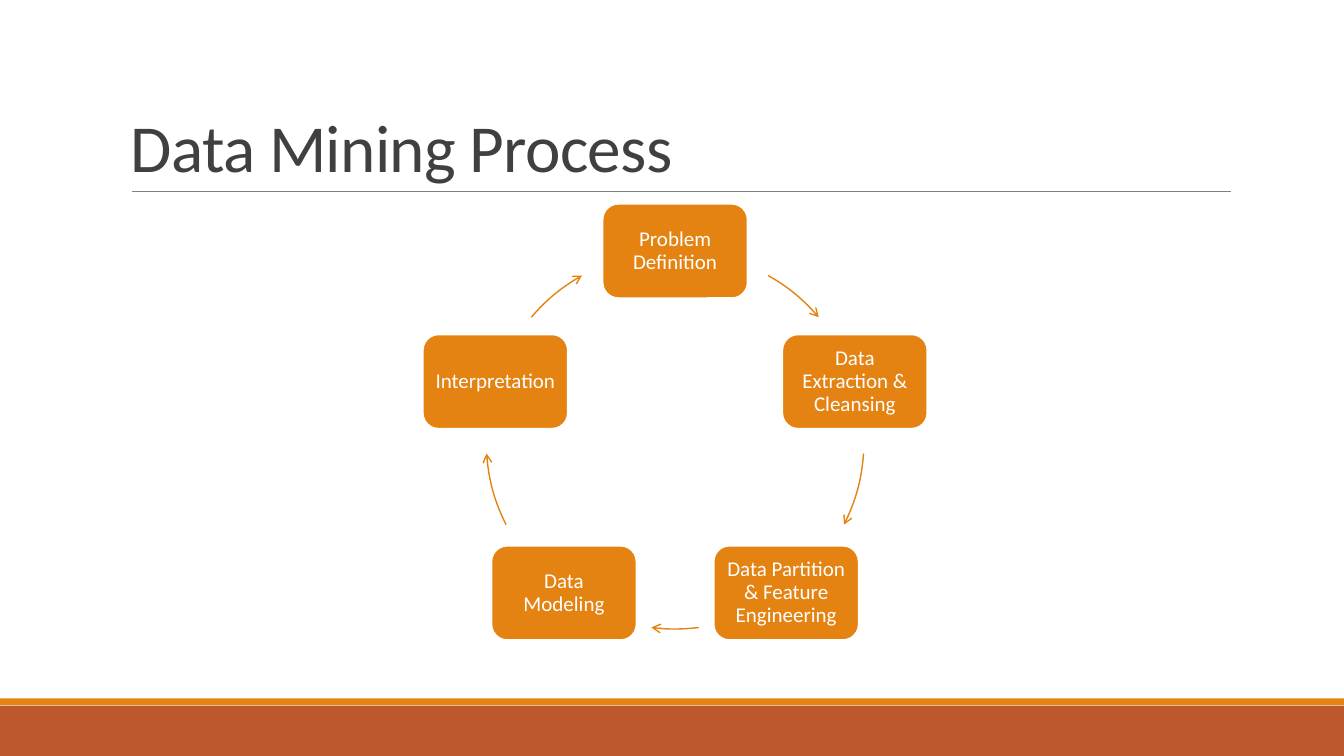
import math

from lxml import etree
from pptx import Presentation
from pptx.dml.color import RGBColor
from pptx.enum.shapes import MSO_CONNECTOR, MSO_SHAPE
from pptx.enum.text import MSO_ANCHOR, PP_ALIGN
from pptx.oxml.ns import qn
from pptx.util import Pt

RECTANGLE = MSO_SHAPE.RECTANGLE
ROUNDED = MSO_SHAPE.ROUNDED_RECTANGLE
ARC = MSO_SHAPE.ARC
STRAIGHT = MSO_CONNECTOR.STRAIGHT
LEFT, CENTER = PP_ALIGN.LEFT, PP_ALIGN.CENTER
MIDDLE, BOTTOM = MSO_ANCHOR.MIDDLE, MSO_ANCHOR.BOTTOM

PAGE_WIDTH, PAGE_HEIGHT = 960, 540
ORANGE, RUST, WHITE = "E48312", "BD582C", "FFFFFF"
RULE_GRAY, TITLE_GRAY = "808080", "404040"
FONT = "Calibri"

CENTER_X, CENTER_Y, RADIUS = 482.2, 314.3, 135
BOX_WIDTH, BOX_HEIGHT = 103.6, 67.4
STEPS = [
    "Problem Definition",
    "Data Extraction & Cleansing",
    "Data Partition & Feature Engineering",
    "Data Modeling",
    "Interpretation",
]
# Start and end of each arrow, in degrees clockwise from the top
ARROWS = [(29.5, 49.5), (94.1, 116.6), (172.8, 187.2), (243.4, 265.9), (310.5, 330.5)]


def color(value):
    return RGBColor.from_string(value)


def add_block(page, kind, left, top, width, height, fill):
    box = page.shapes.add_shape(kind, Pt(left), Pt(top), Pt(width), Pt(height))
    box.shadow.inherit = False
    box.fill.solid()
    box.fill.fore_color.rgb = color(fill)
    box.line.fill.background()
    return box


def write_text(box, text, size, text_color, align, anchor, spacing):
    frame = box.text_frame
    frame.word_wrap = True
    frame.vertical_anchor = anchor
    para = frame.paragraphs[0]
    para.alignment = align
    para.line_spacing = spacing
    span = para.add_run()
    span.text = text
    span.font.name = FONT
    span.font.size = Pt(size)
    span.font.color.rgb = color(text_color)
    return span


def add_title(page, text):
    box = page.shapes.add_textbox(Pt(86.4), Pt(22.6), Pt(792), Pt(114.2))
    span = write_text(box, text, 48, TITLE_GRAY, LEFT, BOTTOM, 0.85)
    span.font._element.set("spc", "-50")


def add_rule(page, left, right, y):
    rule = page.shapes.add_connector(STRAIGHT, Pt(left), Pt(y), Pt(right), Pt(y))
    rule.line.color.rgb = color(RULE_GRAY)
    rule.line.width = Pt(0.5)
    etree.SubElement(rule._element.spPr, qn("a:effectLst"))


def add_step(page, text, angle):
    """Place a step box on the circle, at an angle clockwise from the top."""
    turn = math.radians(angle)
    left = CENTER_X + RADIUS * math.sin(turn) - BOX_WIDTH / 2
    top = CENTER_Y - RADIUS * math.cos(turn) - BOX_HEIGHT / 2
    box = add_block(page, ROUNDED, left, top, BOX_WIDTH, BOX_HEIGHT, ORANGE)
    box.line.color.rgb = color(WHITE)
    box.line.width = Pt(1.25)
    frame = box.text_frame
    frame.margin_left = frame.margin_right = Pt(4.5)
    frame.margin_top = frame.margin_bottom = Pt(4.5)
    write_text(box, text, 15, WHITE, CENTER, MIDDLE, 0.9)


def add_arc_arrow(page, start, end):
    arrow = page.shapes.add_shape(
        ARC, Pt(CENTER_X - RADIUS), Pt(CENTER_Y - RADIUS), Pt(2 * RADIUS), Pt(2 * RADIUS)
    )
    arrow.shadow.inherit = False
    arrow.fill.background()
    arrow.line.color.rgb = color(ORANGE)
    arrow.line.width = Pt(1)
    # Arc angles count from the right; one degree is 0.6 adjustment units
    for index, angle in enumerate((start, end)):
        arrow.adjustments[index] = (angle - 90) % 360 * 0.6
    etree.SubElement(arrow.line._get_or_add_ln(), qn("a:tailEnd"), type="arrow")


def main():
    deck = Presentation()
    deck.slide_width, deck.slide_height = Pt(PAGE_WIDTH), Pt(PAGE_HEIGHT)
    page = deck.slides.add_slide(deck.slide_layouts[6])

    add_block(page, RECTANGLE, 0, 504, PAGE_WIDTH, 36, RUST)
    add_block(page, RECTANGLE, 0, 498.8, PAGE_WIDTH, 5, ORANGE)
    add_rule(page, 94.3, 879, 136.8)
    add_title(page, "Data Mining Process")

    for index, (text, (start, end)) in enumerate(zip(STEPS, ARROWS)):
        add_step(page, text, index * 360 / len(STEPS))
        add_arc_arrow(page, start, end)

    deck.save("out.pptx")


if __name__ == "__main__":
    main()
